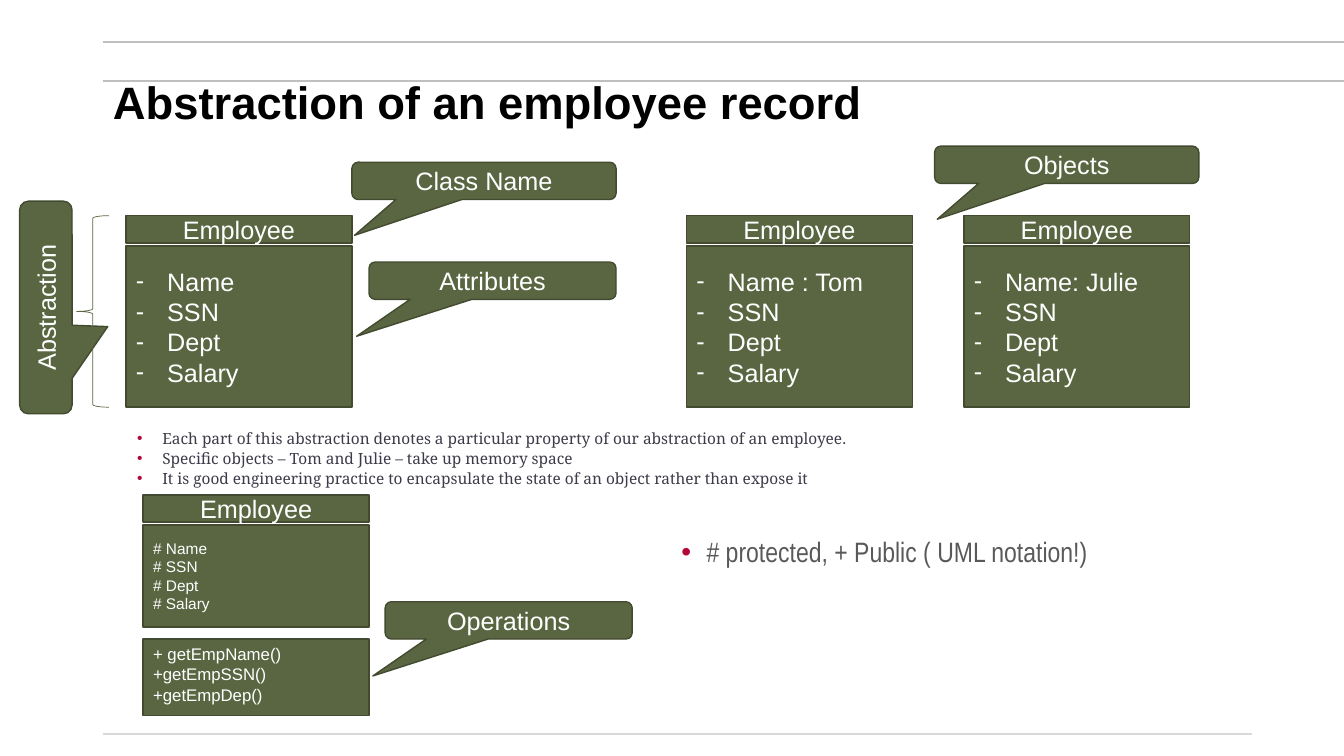
from dataclasses import dataclass

from pptx import Presentation, util as u
from pptx.dml import color
from pptx.enum import shapes, text
from pptx.oxml import xmlchemy, ns, parse_xml

GREEN, EDGE, WHITE = "596641", "424B30", "FFFFFF"
MID, TOP = text.MSO_ANCHOR.MIDDLE, text.MSO_ANCHOR.TOP
LEFT, CENTER = text.PP_ALIGN.LEFT, text.PP_ALIGN.CENTER
WIDE = 2.24
FIELDS = ("SSN", "Dept", "Salary")
LABEL = {"size": u.Pt(18), "name": "Arial"}


@dataclass
class Card:
    left: float
    top: float
    tall: float
    rows: tuple
    size: float = 18
    mark: str = "-"


@dataclass
class Call:
    label: str
    left: float
    top: float
    wide: float
    tall: float
    tip: tuple
    turn: float = 0


@dataclass
class Rule:
    left: float
    right: float
    top: float
    tint: str


RULES = [
    Rule(1.02, 13.33, 0.8, "BFBFBF"),
    Rule(1.02, 13.33, 0.42, "BFBFBF"),
    Rule(1.02, 12.42, 7.28, "D9D9D9"),
]
CARDS = [
    Card(1.25, 2.14, 1.6, ("Name", *FIELDS)),
    Card(6.81, 2.14, 1.6, ("Name : Tom", *FIELDS)),
    Card(9.56, 2.14, 1.6, ("Name: Julie", *FIELDS)),
    Card(1.42, 4.91, 1.01, ("# Name", "# SSN", "# Dept", "# Salary"), 11, ""),
]
CALLS = [
    Call("Class Name", 3.49, 1.61, 2.62, 0.37, (-0.49, 1.46)),
    Call("Attributes", 3.66, 2.6, 2.45, 0.37, (-0.55, 1.49)),
    Call("Objects", 9.27, 1.45, 2.62, 0.37, (-0.49, 1.46)),
    Call("Abstraction", -0.6, 2.79, 2.11, 0.52, (-0.09, 1.18), 270),
    Call("Operations", 3.82, 5.97, 2.45, 0.37, (-0.55, 1.49)),
]
GETTERS = ("+ getEmpName()", "+getEmpSSN()", "+getEmpDep()")
NOTES = (
    "Each part of this abstraction denotes a particular property of our abstraction of an employee.",
    "Specific objects – Tom and Julie – take up memory space",
    "It is good engineering practice to encapsulate the state of an object rather than expose it",
)


def tint(code: str) -> color.RGBColor:
    return color.RGBColor.from_string(code)


def style(item, form: dict) -> None:
    for key, value in form.items():
        setattr(item, key, value)


def place(item, left: float, top: float, wide: float, tall: float) -> None:
    style(item, {"left": u.Inches(left), "top": u.Inches(top),
                 "width": u.Inches(wide), "height": u.Inches(tall)})


def bullet(para, mark: str, left: float, hang: float, code: str = "") -> None:
    props = para._p.get_or_add_pPr()
    props.set("marL", str(u.Inches(left)))
    props.set("indent", str(-u.Inches(hang)))
    space = ns.nsdecls("a")
    if code:
        props.append(parse_xml(f'<a:buClr {space}><a:srgbClr val="{code}"/></a:buClr>'))
    props.append(parse_xml(f'<a:buFont {space} typeface="Arial"/>'))
    props.append(parse_xml(f'<a:buChar {space} char="{mark}"/>'))


def write(frame, rows: tuple, font: dict, code: str, form: dict, side=LEFT) -> list:
    style(frame, {"word_wrap": True, "auto_size": text.MSO_AUTO_SIZE.NONE, **form})
    paras = []
    for spot, row in enumerate(rows):
        para = frame.add_paragraph() if spot else frame.paragraphs[0]
        para.alignment = side
        run = para.add_run()
        run.text = row
        style(run.font, font)
        run.font.color.rgb = tint(code)
        paras.append(para)
    return paras


def block(slide, kind, left: float, top: float, wide: float, tall: float):
    item = slide.shapes.add_shape(kind, *map(u.Inches, (left, top, wide, tall)))
    item.shadow.inherit = False
    item.fill.solid()
    item.fill.fore_color.rgb = tint(GREEN)
    item.line.color.rgb = tint(EDGE)
    item.line.width = u.Pt(1)
    return item


def box(slide, left: float, top: float, tall: float):
    return block(slide, shapes.MSO_SHAPE.RECTANGLE, left, top, WIDE, tall)


def draw_card(slide, card: Card) -> None:
    head = box(slide, card.left, card.top, 0.27)
    write(head.text_frame, ("Employee",), LABEL, WHITE, {"vertical_anchor": MID}, CENTER)
    main = box(slide, card.left, card.top + 0.3, card.tall)
    font = {**LABEL, "size": u.Pt(card.size)}
    for para in write(main.text_frame, card.rows, font, WHITE, {"vertical_anchor": MID}):
        if card.mark:
            bullet(para, card.mark, 0.31, 0.31)


def draw_call(slide, call: Call) -> None:
    kind = shapes.MSO_SHAPE.ROUNDED_RECTANGULAR_CALLOUT
    item = block(slide, kind, call.left, call.top, call.wide, call.tall)
    item.rotation = call.turn
    item.adjustments[0], item.adjustments[1] = call.tip
    write(item.text_frame, (call.label,), LABEL, WHITE, {"vertical_anchor": MID}, CENTER)


def draw_rule(slide, rule: Rule) -> None:
    ends = map(u.Inches, (rule.left, rule.top, rule.right, rule.top))
    line = slide.shapes.add_connector(shapes.MSO_CONNECTOR.STRAIGHT, *ends)
    line.line.color.rgb = tint(rule.tint)
    line.line.width = u.Pt(1.5)
    line._element.spPr.append(parse_xml(f'<a:effectLst {ns.nsdecls("a")}/>'))


def draw_list(frame, rows: tuple, font: dict, code: str, form: dict, pitch: float) -> None:
    for spot, para in enumerate(write(frame, rows, font, code, form)):
        style(para, {"level": 1, "line_spacing": pitch,
                     "space_before": u.Pt(5 if spot else 0)})
        bullet(para, "•", 0.75, 0.25, "B30738")


def main() -> None:
    deck = Presentation()
    style(deck, {"slide_width": u.Inches(13.33), "slide_height": u.Inches(7.5)})
    slide = deck.slides.add_slide(deck.slide_layouts[1])
    for rule in RULES:
        draw_rule(slide, rule)

    title, body = slide.shapes.title, slide.placeholders[1]
    place(title, 1.02, 0.84, 11.39, 0.39)
    font = {"size": u.Pt(32.4), "name": "Arial", "bold": True}
    head = write(title.text_frame, ("Abstraction of an employee record",), font,
                 "000000", {"vertical_anchor": MID})
    head[0].line_spacing = 0.9

    place(body, 0.76, 4.04, 11.9, 0.85)
    draw_list(body.text_frame, NOTES, {"size": u.Pt(11), "name": "Noto Serif"}, "3D3B49",
              {"vertical_anchor": TOP, "margin_top": u.Inches(0.27)}, 0.7)

    for card in CARDS:
        draw_card(slide, card)
    for call in CALLS:
        draw_call(slide, call)

    brace = block(slide, shapes.MSO_SHAPE.LEFT_BRACE, 0.76, 2.14, 0.32, 1.9)
    brace.fill.background()
    brace.line.color.rgb = tint(GREEN)
    brace.line.width = u.Pt(0.5)

    tasks = box(slide, 1.42, 6.34, 0.76)
    write(tasks.text_frame, GETTERS, {**LABEL, "size": u.Pt(12)}, WHITE,
          {"vertical_anchor": TOP})

    note = slide.shapes.add_textbox(*map(u.Inches, (6.16, 5.29, 6.34, 0.85)))
    draw_list(note.text_frame, ("# protected, + Public ( UML notation!)",),
              {"size": u.Pt(20), "name": "Arial Narrow"}, "595959",
              {"vertical_anchor": TOP}, 0.9)
    deck.save("out.pptx")


if __name__ == "__main__":
    main()
